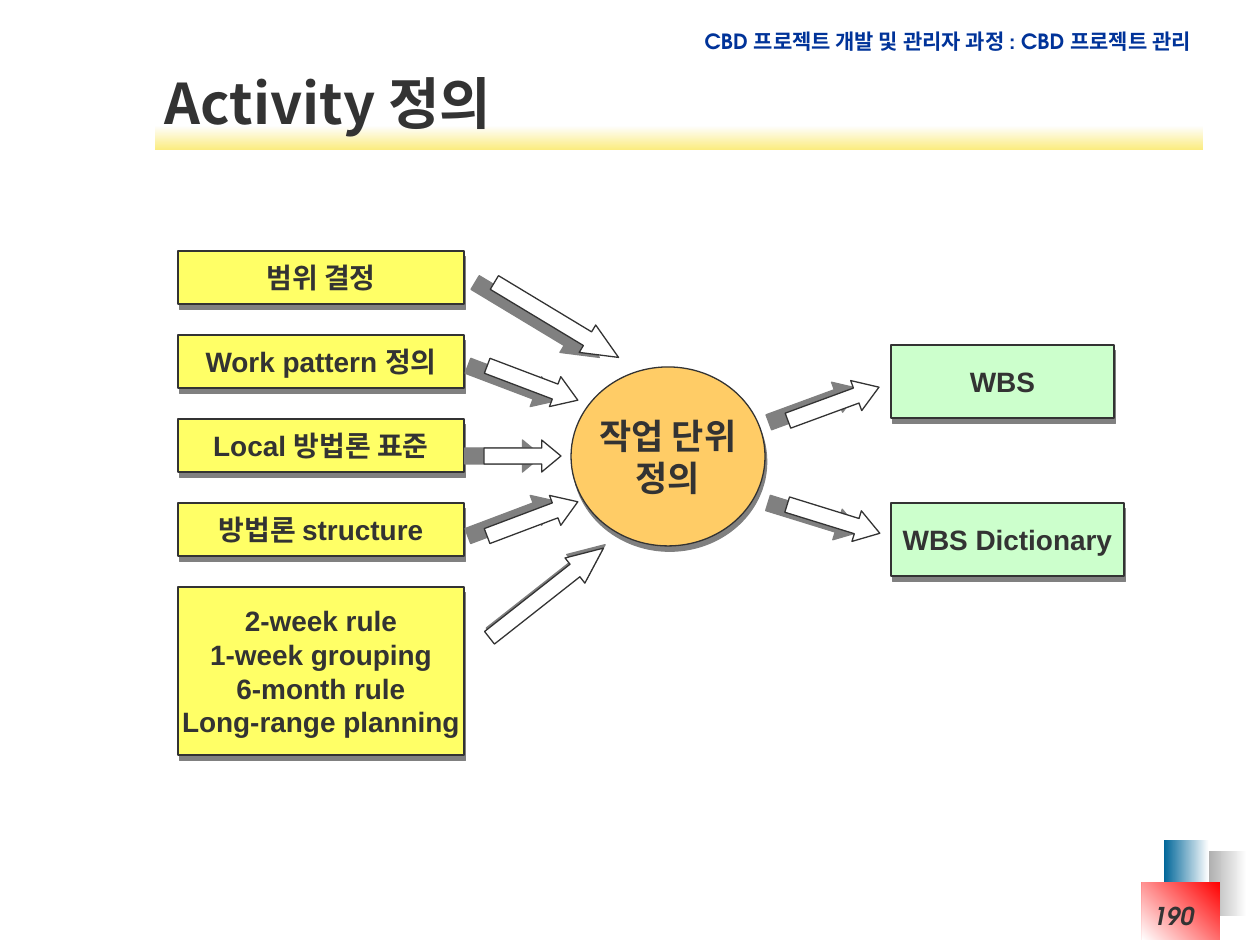
from dataclasses import dataclass

from lxml.etree import SubElement
from pptx import Presentation
from pptx.dml.color import RGBColor
from pptx.enum.shapes import MSO_SHAPE as SHAPE
from pptx.enum.text import MSO_ANCHOR as ANCHOR, MSO_AUTO_SIZE as AUTO, PP_ALIGN as ALIGN
from pptx.oxml.ns import qn
from pptx.util import Pt

EMU_PER_PX = 914400 / 126


def px(n):
    return round(n * EMU_PER_PX)


@dataclass(frozen=True)
class Theme:
    ink: str = "333333"
    white: str = "FFFFFF"
    header: str = "003399"
    shadow: str = "808080"
    source: str = "FFFF66"
    result: str = "CCFFCC"
    hub: str = "FFCC66"
    title_pt: int = 32
    hub_pt: int = 20
    box_pt: int = 16
    page_pt: int = 14
    header_pt: int = 12
    leading: float = 1.2
    body_font: str = "Arial"
    hub_font: str = "Roboto Slab"
    accent_font: str = "TeX Gyre Adventor"
    korean_font: str = "Noto Sans CJK KR"


class Deck:
    def __init__(self, theme):
        self.theme = theme
        self.prs = Presentation()
        self.prs.slide_width, self.prs.slide_height = px(1260), px(945)
        self.s = self.prs.slides.add_slide(self.prs.slide_layouts[5])

    def set_text(self, sp, text, size, font, align=ALIGN.CENTER, anchor=ANCHOR.MIDDLE,
                 wrap=False, color=None, italic=False):
        tf = sp.text_frame
        tf.text = text
        frame = dict(word_wrap=wrap, auto_size=AUTO.NONE, vertical_anchor=anchor,
                     margin_left=px(13), margin_right=px(13),
                     margin_top=px(6), margin_bottom=px(6))
        for name, value in frame.items():
            setattr(tf, name, value)
        style = dict(size=Pt(size), name=font, bold=True, italic=italic)
        for p in tf.paragraphs:
            p.alignment = align
            p.line_spacing = Pt(size * self.theme.leading)
            for r in p.runs:
                for name, value in style.items():
                    setattr(r.font, name, value)
                r.font.color.rgb = RGBColor.from_string(color or self.theme.ink)
                SubElement(r.font._element, qn("a:ea"), typeface=self.theme.korean_font)

    def title(self, text, box):
        sp = self.s.shapes.title
        sp.left, sp.top, sp.width, sp.height = map(px, box)
        self.set_text(sp, text, self.theme.title_pt, self.theme.korean_font,
                      align=ALIGN.LEFT, wrap=True)
        sp._element.getparent().append(sp._element)  # in front of the bar

    def label(self, text, box, size, **style):
        sp = self.s.shapes.add_textbox(*map(px, box))
        self.set_text(sp, text, size, self.theme.accent_font, align=ALIGN.RIGHT,
                      anchor=ANCHOR.TOP, wrap=True, **style)

    def gradient(self, box, start, end, angle):
        sp = self.s.shapes.add_shape(SHAPE.RECTANGLE, *map(px, box))
        sp.shadow.inherit = False
        sp.line.fill.background()
        sp.fill.gradient()
        sp.fill.gradient_angle = angle
        for stop, color in zip(sp.fill.gradient_stops, (start, end)):
            stop.color.rgb = RGBColor.from_string(color)

    def solid(self, kind, box, fill, distance, direction):
        """Add an outlined shape with a hard shadow: distance in points, direction in degrees."""
        sp = self.s.shapes.add_shape(kind, *map(px, box))
        sp.fill.solid()
        sp.fill.fore_color.rgb = RGBColor.from_string(fill)
        sp.line.color.rgb = RGBColor.from_string(self.theme.ink)
        sp.line.width = Pt(0.75)
        sp.shadow.inherit = False
        effects = sp._element.spPr.find(qn("a:effectLst"))
        shadow = SubElement(effects, qn("a:outerShdw"), blurRad="0", dist=str(Pt(distance)),
                            dir=str(direction * 60000), algn="ctr", rotWithShape="0")
        SubElement(shadow, qn("a:srgbClr"), val=self.theme.shadow)
        return sp

    def node(self, text, box, fill, size, font, kind=SHAPE.RECTANGLE):
        sp = self.solid(kind, box, fill, 3.2, 72)
        self.set_text(sp, text, size, font)

    def arrow(self, left, top, length, rotation, distance=11, direction=180):
        height = 32
        sp = self.solid(SHAPE.RIGHT_ARROW, (left, top, length, height),
                        self.theme.white, distance, direction)
        sp.adjustments[1] = length / (4 * height)
        sp.rotation = rotation


def main():
    t = Theme()
    deck = Deck(t)

    deck.gradient((1197, 851, 50, 65), t.white, "969696", 180)
    deck.gradient((1164, 840, 45, 65), t.white, "006699", 180)
    deck.gradient((1142, 882, 78, 58), "FF0000", t.white, 225)
    deck.gradient((155, 126, 1048, 24), "FEFEFE", "FBEC7F", 270)
    deck.label("CBD 프로젝트 개발 및 관리자 과정 : CBD 프로젝트 관리",
               (680, 23, 524, 38), t.header_pt, color=t.header)
    deck.title("Activity 정의", (152, 64, 1048, 77))

    sources = ["범위 결정", "Work pattern 정의", "Local 방법론 표준", "방법론 structure",
               "2-week rule\n1-week grouping\n6-month rule\nLong-range planning"]
    for i, text in enumerate(sources):
        height = 168 if "\n" in text else 53
        deck.node(text, (178, 251 + 84 * i, 286, height), t.source, t.box_pt, t.body_font)

    for text, top, width in [("WBS", 345, 223), ("WBS Dictionary", 503, 233)]:
        deck.node(text, (891, top, width, 73), t.result, t.box_pt, t.body_font)

    deck.node("작업 단위\n정의", (571, 367, 194, 179), t.hub, t.hub_pt, t.hub_font, SHAPE.OVAL)

    arrows = [
        (484, 304, 145, 31.1),
        (484, 367, 97, 20.8),
        (484, 440, 77, 0),
        (484, 503, 97, 339.3),
        (474, 577, 145, 321.8, 2.2, 296),
        (785, 388, 97, 339.8, 11, 175),
        (785, 503, 97, 17.2, 11, 185),
    ]
    for arrow in arrows:
        deck.arrow(*arrow)

    deck.label("190", (1052, 895, 155, 50), t.page_pt, italic=True)
    deck.prs.save("out.pptx")


if __name__ == "__main__":
    main()
